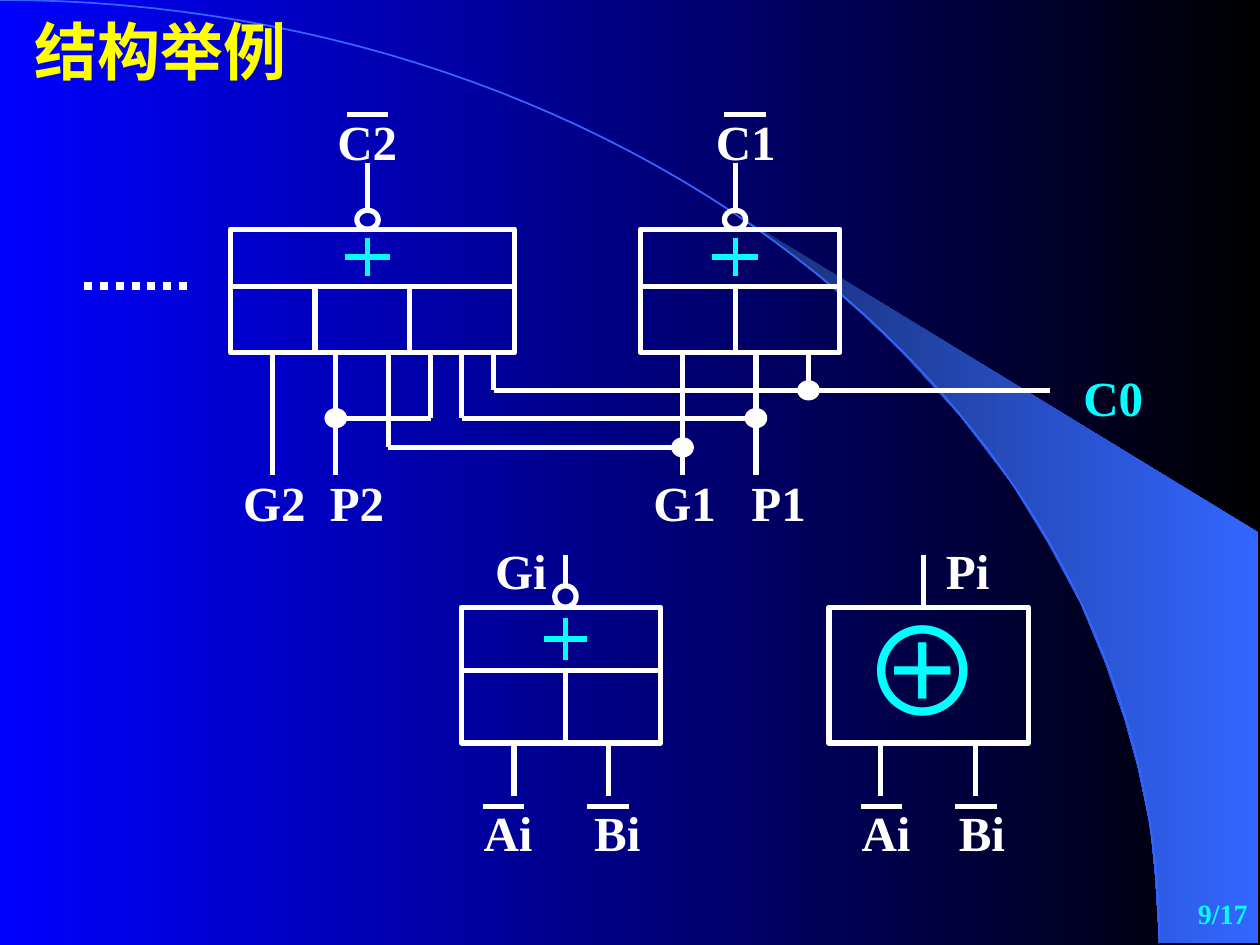
import math
import pptx
import pptx.util
import pptx.dml.color
import pptx.enum.dml
import pptx.enum.shapes
import pptx.enum.text
import pptx.oxml
import pptx.oxml.ns

Cm, Pt = pptx.util.Cm, pptx.util.Pt
RGBColor = pptx.dml.color.RGBColor
SHAPE = pptx.enum.shapes.MSO_SHAPE
AUTO = pptx.enum.text.MSO_AUTO_SIZE

WHITE = RGBColor(0xFF, 0xFF, 0xFF)
CYAN = RGBColor(0x00, 0xFF, 0xFF)
YELLOW = RGBColor(0xFF, 0xFF, 0x00)
BLUE = RGBColor(0x00, 0x00, 0xFF)
BLACK = RGBColor(0x00, 0x00, 0x00)
SKY = RGBColor(0x33, 0x66, 0xFF)
NAVY = RGBColor(0x18, 0x2F, 0x76)
SERIF, CJK = "Times New Roman", "Noto Sans CJK SC"

# Content; every length is in centimetres
SWOOSH = [(23.37, 19), (25.37, 19.02), (25.37, 10.74), (14.96, 4.39), (15.85, 5.05),
          (16.59, 5.64), (17.4, 6.35), (18.19, 7.11), (19.35, 8.38), (20.4, 9.75),
          (21.13, 10.95), (21.79, 12.17), (22.3, 13.41), (22.68, 14.53),
          (22.94, 15.47), (23.19, 16.66), (23.29, 17.68)]
ARC_W, ARC_H, ARC_STEPS = 23.37, 19.02, 60

DOT_W, CARRY_DOT_H = 0.43, 0.38
CARRY_ROW = dict(top=4.62, height=2.49, bar=5.77, stem=3.28, dot_h=CARRY_DOT_H,
                 plus=(5.18, 0.46, 0.38))
GATES = [
    dict(CARRY_ROW, left=4.65, width=5.72, center=7.41, dividers=[6.35, 8.26]),
    dict(CARRY_ROW, left=12.91, width=4.02, center=14.82, dividers=[14.82]),
    dict(left=9.3, width=4.02, center=11.4, dividers=[11.4], top=12.24, height=2.74,
         bar=13.51, stem=11.18, dot_h=0.43, plus=(12.88, 0.43, 0.43)),
]
XOR = dict(left=16.71, top=12.24, width=4.02, height=2.74, center=18.62, stem=11.18)

# Wires below the carry gates: x and lower end
GATE_BOTTOM, WIRE_END = 7.11, 9.58
TRACK_C0, TRACK_P, TRACK_G = 7.87, 8.43, 9.02
X_G2, X_P2, X_G1, X_P1, X_C0 = 5.5, 6.77, 13.76, 15.24, 16.3
DROPS = [(X_G2, WIRE_END), (X_P2, WIRE_END), (7.83, TRACK_G), (8.68, TRACK_P),
         (9.31, TRACK_P), (9.95, TRACK_C0), (X_G1, WIRE_END), (X_P1, WIRE_END),
         (X_C0, TRACK_C0)]
TRACKS = [(9.31, X_P1, TRACK_P), (7.83, X_G1, TRACK_G), (X_P2, 8.68, TRACK_P),
          (9.95, 21.16, TRACK_C0)]
JUNCTIONS = [(X_C0, TRACK_C0), (X_P2, TRACK_P), (X_G1, TRACK_G), (X_P1, TRACK_P)]

INPUTS, INPUT_TOP, INPUT_END = [10.36, 12.27, 17.75, 19.66], 14.98, 16.05
OVERLINE = 0.84
OVERLINES = [(6.99, 2.31), (14.6, 2.31), (9.73, 16.26), (11.84, 16.26),
             (17.35, 16.26), (19.25, 16.26)]
LABELS = [  # text, left, top
    ("C2", 6.55, 2.13), ("C1", 14.18, 2.13), ("C0", 21.59, 7.29),
    ("G2", 4.65, 9.4), ("P2", 6.4, 9.4), ("G1", 12.92, 9.4), ("P1", 14.9, 9.4),
    ("Gi", 9.73, 10.77), ("Pi", 18.82, 10.77),
    ("Ai", 9.5, 16.05), ("Bi", 11.73, 16.05), ("Ai", 17.12, 16.05), ("Bi", 19.08, 16.05),
]

deck = pptx.Presentation()
deck.slide_width, deck.slide_height = Cm(25.4), Cm(19.05)
slide = deck.slides.add_slide(deck.slide_layouts[6])
shapes = slide.shapes


def apply(target, formats):
    for name, value in formats.items():
        setattr(target, name, value)


def shade(fill, start, end):
    fill.gradient()
    fill.gradient_angle = 0
    for stop, color in zip(fill.gradient_stops, (start, end)):
        stop.color.rgb = color


def outline(shape, color, width):
    shape.shadow.inherit = False
    shape.line.color.rgb = color
    shape.line.width = Pt(width)


def line(x1, y1, x2, y2, color=WHITE, width=3):
    wire = shapes.add_connector(pptx.enum.shapes.MSO_CONNECTOR.STRAIGHT,
                                Cm(x1), Cm(y1), Cm(x2), Cm(y2))
    wire.line.color.rgb = color
    wire.line.width = Pt(width)
    wire._element.spPr.append(pptx.oxml.parse_xml(
        "<a:effectLst %s/>" % pptx.oxml.ns.nsdecls("a")))
    return wire


def preset(kind, left, top, width, height, fill=None, weight=3):
    shape = shapes.add_shape(kind, Cm(left), Cm(top), Cm(width), Cm(height))
    if fill is None:
        shape.fill.background()
    else:
        shape.fill.solid()
        shape.fill.fore_color.rgb = fill
    outline(shape, WHITE, weight)


def polyline(points, close):
    points = [(Cm(x), Cm(y)) for x, y in points]
    builder = shapes.build_freeform(*points[0], scale=1.0)
    builder.add_line_segments(points[1:], close=close)
    return builder.convert_to_shape()


def text(words, left, top, width, height, size, color=WHITE, face=SERIF, bold=True,
         frame_format=None, align=None):
    frame = shapes.add_textbox(Cm(left), Cm(top), Cm(width), Cm(height)).text_frame
    apply(frame, {"word_wrap": True, "auto_size": AUTO.SHAPE_TO_FIT_TEXT,
                  **(frame_format or {})})
    paragraph = frame.paragraphs[0]
    paragraph.alignment = align
    run = paragraph.add_run()
    run.text = words
    apply(run.font, {"size": Pt(size), "bold": bold, "name": face})
    run.font.color.rgb = color
    for tag in ("ea", "sym"):
        if face == CJK:
            run.font._element.append(pptx.oxml.parse_xml(
                '<a:%s %s typeface="%s"/>' % (tag, pptx.oxml.ns.nsdecls("a"), face)))


# Backdrop
shade(slide.background.fill, BLUE, BLACK)
swoosh = polyline(SWOOSH, True)
swoosh.shadow.inherit = False
swoosh.line.fill.background()
shade(swoosh.fill, NAVY, SKY)
angles = [math.pi / 2 * i / ARC_STEPS for i in range(ARC_STEPS + 1)]
arc = polyline([(ARC_W * math.sin(a), ARC_H * (1 - math.cos(a))) for a in angles], False)
arc.fill.background()
outline(arc, SKY, 1)

text(" 结构举例", 0.15, 0.13, 7.16, 1.78, 36, YELLOW, CJK)

# AND-OR gates with inverted outputs
for gate in GATES:
    left, top, center, bar = gate["left"], gate["top"], gate["center"], gate["bar"]
    right, bottom = left + gate["width"], top + gate["height"]
    bubble_top = top - gate["dot_h"]
    preset(SHAPE.RECTANGLE, left, top, gate["width"], gate["height"])
    line(left, bar, right, bar)
    for x in gate["dividers"]:
        line(x, bar, x, bottom)
    plus_y, half_w, half_h = gate["plus"]
    line(center - half_w, plus_y, center + half_w, plus_y, CYAN)
    line(center, plus_y - half_h, center, plus_y + half_h, CYAN)
    line(center, gate["stem"], center, bubble_top)
    preset(SHAPE.OVAL, center - DOT_W / 2, bubble_top, DOT_W, gate["dot_h"])

# Exclusive-or gate
preset(SHAPE.RECTANGLE, XOR["left"], XOR["top"], XOR["width"], XOR["height"])
line(XOR["center"], XOR["stem"], XOR["center"], XOR["top"])
margins = dict.fromkeys(("margin_left", "margin_top", "margin_right", "margin_bottom"), 0)
text("⊕", 17.37, 11.99, 2.46, 2.97, 70, CYAN, CJK, False, {**margins, "word_wrap": False})

# Wiring
for x, end in DROPS:
    line(x, GATE_BOTTOM, x, end)
for start, end, y in TRACKS:
    line(start, y, end, y)
for x, y in JUNCTIONS:
    preset(SHAPE.OVAL, x - DOT_W / 2, y - CARRY_DOT_H / 2, DOT_W, CARRY_DOT_H, WHITE, 0.75)
for x in INPUTS:
    line(x, INPUT_TOP, x, INPUT_END)
more_stages = line(1.7, 5.77, 3.81, 5.77, width=4.5)
more_stages.line.dash_style = pptx.enum.dml.MSO_LINE.ROUND_DOT

# Signal names
for x, y in OVERLINES:
    line(x, y, x + OVERLINE, y)
for name, left, top in LABELS:
    text(name, left, top, 2.11, 1.45, 28, CYAN if name == "C0" else WHITE)

# Page number
text("9/17", 19.1, 17.78, 6.3, 1.27, 16, CYAN, align=pptx.enum.text.PP_ALIGN.RIGHT,
     frame_format={"auto_size": AUTO.NONE,
                   "vertical_anchor": pptx.enum.text.MSO_ANCHOR.MIDDLE})

deck.save("out.pptx")
